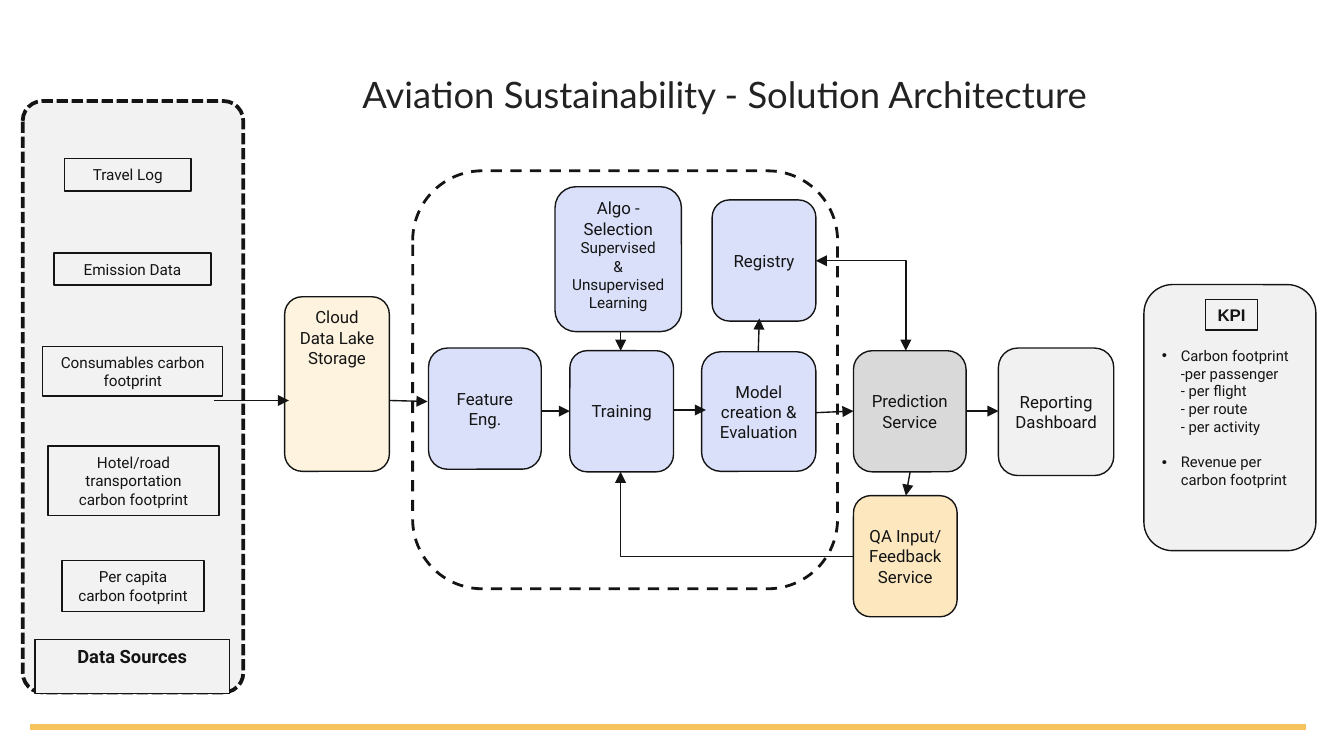
from lxml import etree
from pptx import Presentation
from pptx.dml.color import RGBColor
from pptx.enum import dml, shapes, text
from pptx.oxml import ns
from pptx.util import Cm, Pt

INK = RGBColor(0x14, 0x14, 0x14)
TITLE_INK = RGBColor(0x22, 0x22, 0x22)
WHITE = RGBColor(0xFF, 0xFF, 0xFF)
PALE_GREY = RGBColor(0xF2, 0xF2, 0xF2)
LIGHT_GREY = RGBColor(0xF1, 0xF1, 0xF1)
GREY = RGBColor(0xD9, 0xD9, 0xD9)
CREAM = RGBColor(0xFD, 0xF3, 0xDF)
SAND = RGBColor(0xFC, 0xE7, 0xBF)
LAVENDER = RGBColor(0xDA, 0xE0, 0xFA)
GOLD = RGBColor(0xF7, 0xC3, 0x5E)

ROUNDED = shapes.MSO_SHAPE.ROUNDED_RECTANGLE
RECTANGLE = shapes.MSO_SHAPE.RECTANGLE
TOP, MIDDLE = text.MSO_ANCHOR.TOP, text.MSO_ANCHOR.MIDDLE
TIGHT, ROOMY = (0.18, 0.1), (0.25, 0.13)  # side and top insets, cm

TITLE = "Aviation Sustainability - Solution Architecture"

# Boxes and lines are in cm: left, top, width, height / x1, y1, x2, y2
PIPELINE_FRAME = (7.8, 3.23, 8.03, 7.9)
SOURCES_PANEL = (0.43, 1.91, 4.17, 11.18)
KPI_PANEL = (21.62, 5.38, 3.25, 5.03)
KPI_TAG = (22.78, 5.66, 0.99, 0.58)
SOURCES_TAG = (0.66, 12.09, 3.68, 1.02)

STAGES = [  # box, fill, anchor, paragraphs as (text, size)
    ((5.38, 5.61, 1.98, 3.3), CREAM, TOP, [("Cloud Data Lake Storage", 9)]),
    ((8.1, 6.58, 2.13, 2.29), LAVENDER, MIDDLE, [("Feature Eng.", 9)]),
    ((10.77, 6.63, 1.96, 2.29), LAVENDER, MIDDLE, [("Training", 9)]),
    ((13.26, 6.65, 2.16, 2.26), LAVENDER, MIDDLE,
     [("Model creation & Evaluation", 9)]),
    ((10.49, 3.53, 2.39, 2.74), LAVENDER, TOP,
     [("Algo - Selection", 9), ("Supervised", 8.2), ("&", 8.2),
      ("Unsupervised", 8.2), ("Learning", 8.2)]),
    ((13.46, 3.78, 1.96, 2.29), LAVENDER, MIDDLE, [("Registry", 9)]),
    ((16.13, 6.63, 2.13, 2.29), GREY, MIDDLE,
     [("Prediction", 9), ("Service", 9)]),
    ((16.13, 9.37, 1.96, 2.29), SAND, MIDDLE,
     [("QA Input/", 9), ("Feedback Service", 9)]),
    ((18.87, 6.58, 2.18, 2.41), LIGHT_GREY, MIDDLE,
     [("Reporting", 9), ("Dashboard", 9)]),
]

SOURCES = [
    ((1.22, 3.0, 2.39, 0.61), "Travel Log"),
    ((1.02, 4.78, 2.97, 0.61), "Emission Data"),
    ((0.81, 6.55, 3.4, 0.94), "Consumables carbon footprint"),
    ((0.91, 8.43, 3.23, 1.32), "Hotel/road transportation carbon footprint"),
    ((1.17, 10.59, 2.69, 0.97), "Per capita carbon footprint"),
]

KPIS = [
    ["Carbon footprint", "-per passenger", "- per flight", "- per route",
     "- per activity"],
    ["Revenue per carbon footprint"],
]

ARROWS = [
    (4.04, 7.57, 5.46, 7.57),     # sources to lake
    (7.37, 7.57, 8.08, 7.59),     # lake to features
    (10.23, 7.77, 10.77, 7.77),   # features to training
    (11.73, 6.27, 11.73, 6.63),   # algorithm to training
    (12.73, 7.75, 13.34, 7.75),   # training to model
    (14.33, 6.65, 14.35, 6.02),   # model to registry
    (15.42, 7.8, 16.13, 7.77),    # model to prediction
    (18.26, 7.77, 18.87, 7.77),   # prediction to dashboard
    (17.2, 8.92, 17.12, 9.37),    # prediction to feedback
]
REGISTRY_LINK = (15.42, 4.93, 17.12, 6.63)
FEEDBACK_LOOP = (16.13, 10.52, 11.73, 8.92)


def add_run(paragraph, words, size, font="Roboto", bold=False, color=INK):
    run = paragraph.add_run()
    run.text = words
    run.font.size, run.font.name, run.font.bold = Pt(size), font, bold
    run.font.color.rgb = color


def prepare_frame(shape, anchor, insets):
    frame = shape.text_frame
    frame.word_wrap = True
    frame.vertical_anchor = anchor
    frame.margin_left = frame.margin_right = Cm(insets[0])
    frame.margin_top = frame.margin_bottom = Cm(insets[1])
    return frame


def add_box(slide, kind, box, fill, width=0.75, dash=None):
    shape = slide.shapes.add_shape(kind, *map(Cm, box))
    shape.shadow.inherit = False
    shape.fill.solid()
    shape.fill.fore_color.rgb = fill
    shape.line.color.rgb = INK
    shape.line.width = Pt(width)
    if dash:
        shape.line.dash_style = dash
    return shape


def add_centred(shape, paragraphs, anchor=TOP, insets=TIGHT, **style):
    frame = prepare_frame(shape, anchor, insets)
    for index, (words, size) in enumerate(paragraphs):
        paragraph = frame.add_paragraph() if index else frame.paragraphs[0]
        paragraph.alignment = text.PP_ALIGN.CENTER
        add_run(paragraph, words, size, **style)


def add_line(slide, ends, color=INK, width=0.75, heads=("tailEnd",), bent=False):
    """Draw a line; a bent one runs sideways first, then turns once."""
    kind = shapes.MSO_CONNECTOR.ELBOW if bent else shapes.MSO_CONNECTOR.STRAIGHT
    connector = slide.shapes.add_connector(kind, *map(Cm, ends))
    connector.line.color.rgb = color
    connector.line.width = Pt(width)
    line = connector.line._get_or_add_ln()
    for head in heads:
        etree.SubElement(line, ns.qn(f"a:{head}"), type="triangle")
    properties = connector._element.spPr
    if bent:
        properties.find(ns.qn("a:prstGeom")).set("prst", "bentConnector2")
    etree.SubElement(properties, ns.qn("a:effectLst"))


def add_kpis(shape):
    frame = prepare_frame(shape, MIDDLE, TIGHT)
    for index, lines in enumerate(KPIS):
        paragraph = frame.add_paragraph() if index else frame.paragraphs[0]
        paragraph.alignment = text.PP_ALIGN.LEFT
        if index:
            paragraph.space_before = Pt(9.5)
        properties = paragraph._p.get_or_add_pPr()
        properties.set("marL", str(Cm(0.36)))
        properties.set("indent", str(-Cm(0.36)))
        etree.SubElement(properties, ns.qn("a:buFont"), typeface="Arial")
        etree.SubElement(properties, ns.qn("a:buChar"), char="•")
        for number, words in enumerate(lines):
            if number:
                paragraph.add_line_break()
            add_run(paragraph, words, 7.9)


def main():
    presentation = Presentation()
    presentation.slide_width, presentation.slide_height = Cm(25.4), Cm(14.29)
    slide = presentation.slides.add_slide(presentation.slide_layouts[6])

    add_line(slide, (0.56, 13.74, 24.69, 13.74), GOLD, 3, heads=())
    title = slide.shapes.add_textbox(*map(Cm, (6.6, 1.12, 16.21, 1.63)))
    frame = prepare_frame(title, TOP, (0.25, 0.25))
    add_run(frame.paragraphs[0], TITLE, 19.5, "Lato", color=TITLE_INK)

    add_box(slide, ROUNDED, PIPELINE_FRAME, WHITE, 1.5, dml.MSO_LINE.DASH)
    for box, fill, anchor, paragraphs in STAGES:
        add_centred(add_box(slide, ROUNDED, box, fill), paragraphs, anchor)

    panel = add_box(slide, ROUNDED, SOURCES_PANEL, PALE_GREY, 2,
                    dml.MSO_LINE.SQUARE_DOT)
    panel.adjustments[0] = 0.09
    for box, label in SOURCES:
        add_centred(add_box(slide, RECTANGLE, box, PALE_GREY), [(label, 8.2)],
                    MIDDLE, ROOMY)
    add_centred(add_box(slide, RECTANGLE, SOURCES_TAG, PALE_GREY),
                [("Data Sources", 9.8)], bold=True)

    add_kpis(add_box(slide, ROUNDED, KPI_PANEL, LIGHT_GREY))
    add_centred(add_box(slide, RECTANGLE, KPI_TAG, PALE_GREY), [("KPI", 9)],
                font="Arial", bold=True)

    for ends in ARROWS:
        add_line(slide, ends)
    add_line(slide, REGISTRY_LINK, heads=("headEnd", "tailEnd"), bent=True)
    add_line(slide, FEEDBACK_LOOP, bent=True)

    presentation.save("out.pptx")


if __name__ == "__main__":
    main()
